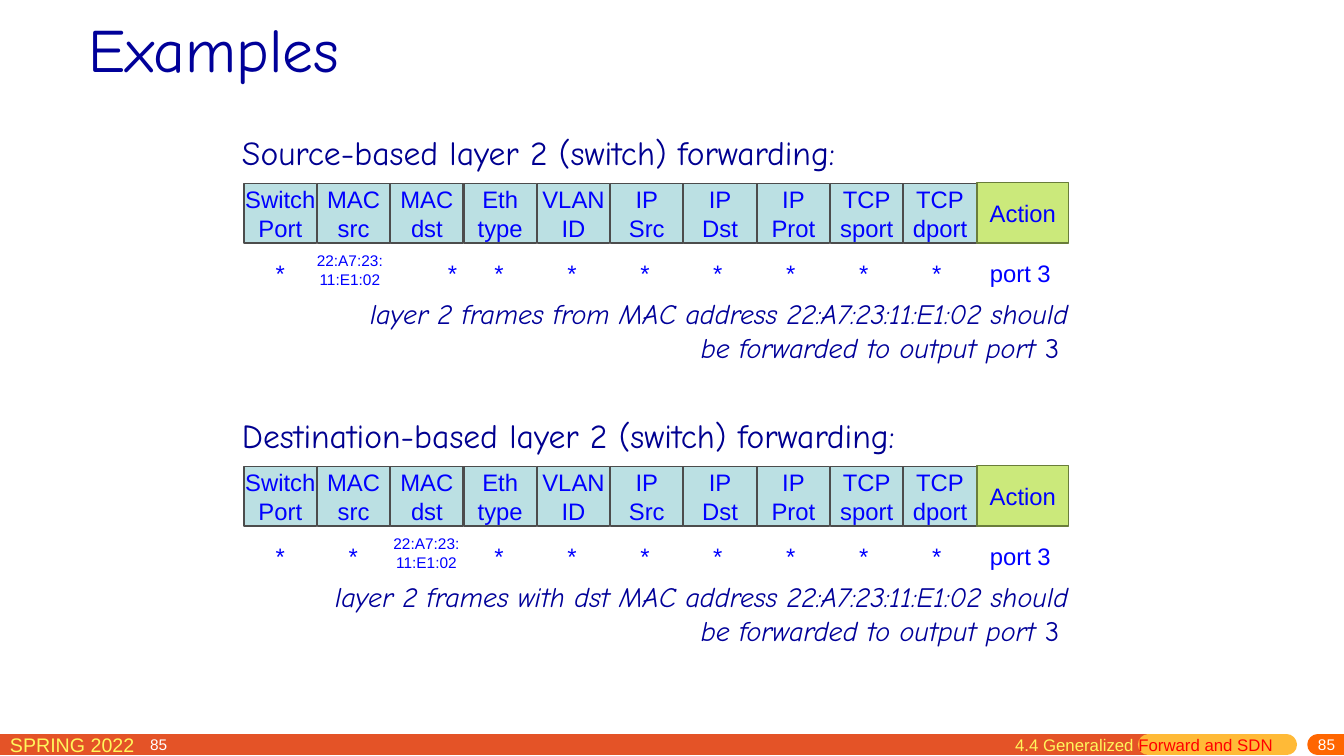
"""Build a slide with two examples of layer 2 flow table entries."""
from lxml import etree
from pptx import Presentation
from pptx.dml.color import RGBColor
from pptx.enum.shapes import MSO_CONNECTOR as CONN, MSO_SHAPE as SHAPE
from pptx.enum.text import MSO_ANCHOR as ANCHOR, PP_ALIGN as ALIGN
from pptx.oxml.ns import qn
from pptx.util import Inches, Pt

FIELDS = ["Switch\nPort", "MAC\nsrc", "MAC\ndst", "Eth\ntype", "VLAN\nID",
          "IP\nSrc", "IP\nDst", "IP\nProt", "TCP\nsport", "TCP\ndport"]
MAC = "22:A7:23:\n11:E1:02"
EXAMPLES = [
    {"top": 1.82, "title": "Source-based layer 2 (switch) forwarding:", "title_w": 6.63,
     "mac_column": 1, "mac_x": 3.11, "shifted": {2: 0.26}, "note_w": 6.93,
     "note": "layer 2 frames from MAC address 22:A7:23:11:E1:02 "
             "should be forwarded to output port "},
    {"top": 4.63, "title": "Destination-based layer 2 (switch) forwarding:", "title_w": 7.33,
     "mac_column": 2, "mac_x": 3.87, "shifted": {}, "note_w": 7.32,
     "note": "layer 2 frames with dst MAC address 22:A7:23:11:E1:02 "
             "should be forwarded to output port "},
]
FOOTER_BARS = [(-0.18, 11.39, "E45327"), (11.39, 12.76, "FFBA37"), (13.07, 13.6, "FF6600")]
NUMBER_INSETS = (0.1, 0, 0.1, 0.05)
BODY_INSETS = (0.1, 0.05, 0.1, 0.05)
NO_INSETS = (0, 0, 0, 0)
LEFT, ACTION_LEFT, RIGHT = 2.42, 9.69, 10.6
CELL_W, CELL_H = 0.72, 0.59
HEADER_PITCH = (ACTION_LEFT - LEFT) / len(FIELDS)
VALUE_PITCH = (8.93 - LEFT) / (len(FIELDS) - 1)
BLUE, NAVY, YELLOW, WHITE = "0000FF", "000099", "FFF65C", "FFFFFF"


def rgb(color):
    return RGBColor.from_string(color)


def write(sp, runs, size, font="Arial", align=ALIGN.LEFT, anchor=ANCHOR.MIDDLE,
          insets=NO_INSETS, wrap=True):
    tf = sp.text_frame
    tf.word_wrap = wrap
    tf.vertical_anchor = anchor
    tf.margin_left, tf.margin_top, tf.margin_right, tf.margin_bottom = map(Inches, insets)
    p = tf.paragraphs[0]
    p.alignment = align
    for text, color, italic in runs:
        for i, line in enumerate(text.split("\n")):
            if i:
                p = tf.add_paragraph()
                p.alignment = align
            r = p.add_run()
            r.text = line
            r.font.size = Pt(size)
            r.font.name = font
            r.font.italic = italic
            r.font.color.rgb = rgb(color)


def add_text(s, box, runs, size, **style):
    write(s.shapes.add_textbox(*map(Inches, box)), runs, size, **style)


def add_cell(group, box, text, fill, line):
    sp = group.shapes.add_shape(SHAPE.RECTANGLE, *map(Inches, box))
    sp.shadow.inherit = False
    sp.fill.solid()
    sp.fill.fore_color.rgb = rgb(fill)
    sp.line.color.rgb = rgb(line)
    sp.line.width = Pt(1)
    write(sp, [(text, BLUE, False)], 17, align=ALIGN.CENTER)


def add_bar(s, x1, x2, color):
    bar = s.shapes.add_connector(CONN.STRAIGHT, Inches(x1), Inches(7.39),
                                 Inches(x2), Inches(7.39))
    bar.line.color.rgb = rgb(color)
    bar.line.width = Pt(15)
    bar.line._get_or_add_ln().set("cap", "rnd")
    etree.SubElement(bar._element.spPr, qn("a:effectLst"))


def add_example(s, ex):
    top = ex["top"]
    add_text(s, (2.4, top - 0.51, ex["title_w"], 0.4), [(ex["title"], "000090", False)], 24,
             font="Comic Neue", wrap=False)

    header = s.shapes.add_group_shape()
    for i, field in enumerate(FIELDS):
        add_cell(header, (LEFT + i * HEADER_PITCH, top, CELL_W, CELL_H), field,
                 "BBE0E3", "4C4C4C")
    add_cell(header, (ACTION_LEFT, top - 0.01, RIGHT - ACTION_LEFT, 0.6), "Action",
             "CBE97B", "697D3A")

    values = [(LEFT + i * VALUE_PITCH + ex["shifted"].get(i, 0), 0.71, "*", 17)
              for i in range(len(FIELDS))]
    values[ex["mac_column"]] = (ex["mac_x"], 0.68, MAC, 11)
    values.append((9.76, 0.71, "port 3", 17))
    for x, dy, text, size in values:
        add_text(s, (x, top + dy, CELL_W, 0.35), [(text, BLUE, False)], size,
                 align=ALIGN.CENTER)

    add_text(s, (RIGHT - ex["note_w"], top + 1.12, ex["note_w"], 0.67),
             [(ex["note"], NAVY, True), ("3 ", NAVY, False)], 20,
             font="Comic Neue", align=ALIGN.RIGHT)


def add_footer(s):
    for bar in FOOTER_BARS:
        add_bar(s, *bar)
    add_text(s, (0, 7.22, 2.29, 0.31), [("SPRING 2022", YELLOW, False)], 14,
             anchor=ANCHOR.TOP, insets=BODY_INSETS)
    for box, align in [((10.75, 7.32, 2.59, 0.18), ALIGN.RIGHT),
                       ((1.39, 7.33, 0.55, 0.15), ALIGN.LEFT)]:
        add_text(s, box, [("85", WHITE, False)], 11, align=align, insets=NUMBER_INSETS)
    add_text(s, (9.97, 7.24, 2.83, 0.31),
             [("4.4 Generalized ", YELLOW, False), ("Forward and SDN", "FF0000", False)], 12,
             anchor=ANCHOR.TOP, insets=BODY_INSETS)


def main():
    prs = Presentation()
    prs.slide_width, prs.slide_height = Inches(13.33), Inches(7.5)
    s = prs.slides.add_slide(prs.slide_layouts[6])
    add_footer(s)
    add_text(s, (0.78, -0.15, 3.07, 1.25), [("Examples", NAVY, False)], 44,
             font="Comic Neue", insets=BODY_INSETS)
    for ex in EXAMPLES:
        add_example(s, ex)
    prs.save("out.pptx")


if __name__ == "__main__":
    main()
